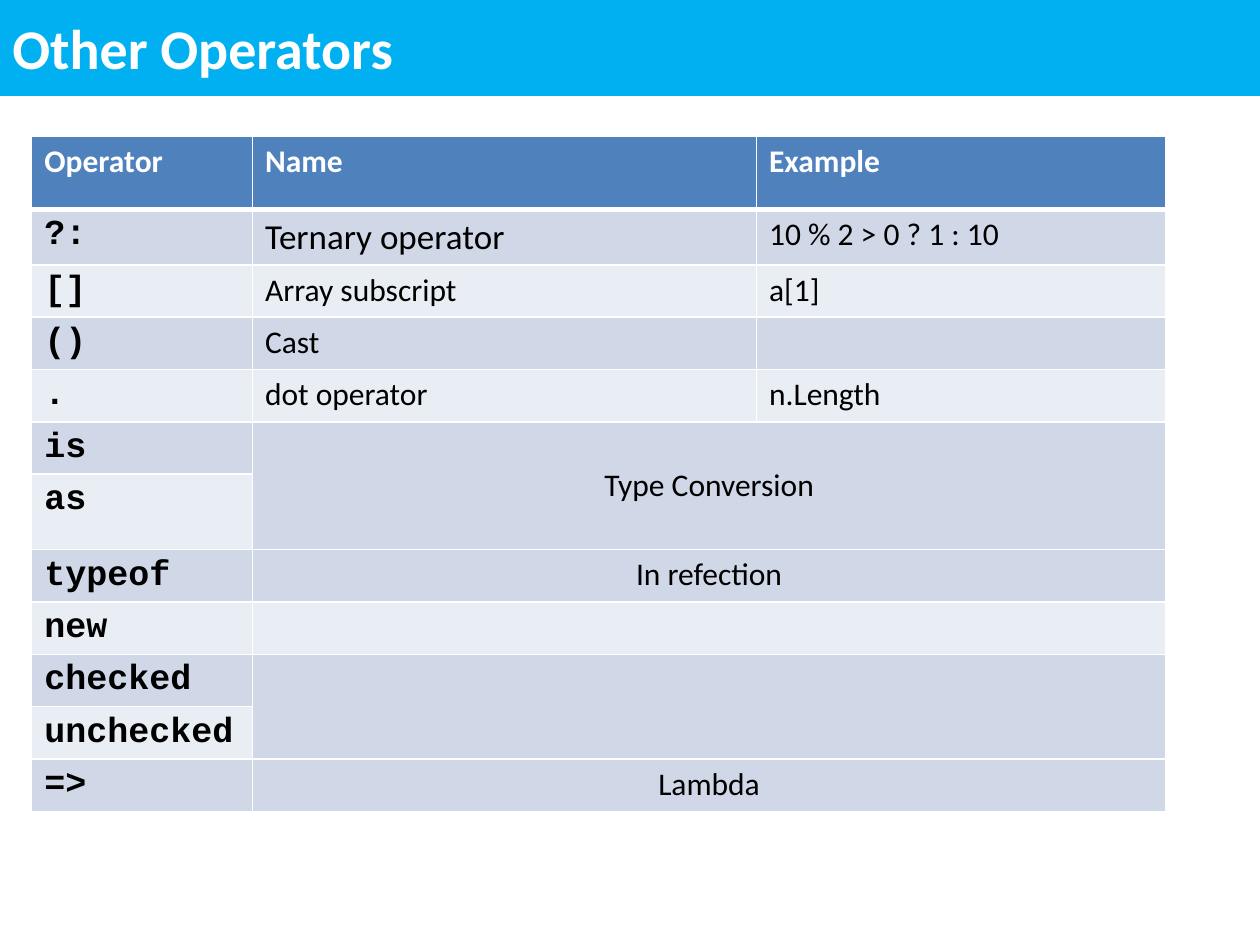
from lxml.etree import SubElement
from pptx import Presentation
from pptx.dml.color import RGBColor
from pptx.enum.shapes import MSO_SHAPE as Shape
from pptx.enum.text import MSO_ANCHOR as Anchor, PP_ALIGN as Align
from pptx.oxml.ns import qn
from pptx.util import Cm, Pt

COLORS = {
    "banner": "00B0F0",
    "header": "4F81BD",
    "odd": "D0D8E8",
    "even": "E9EDF4",
    "white": "FFFFFF",
    "black": "000000",
}


def write(frame, text, size, color, font="Calibri", bold=False):
    frame.text = text
    for span in frame.paragraphs[0].runs:
        span.font.name = font
        span.font.size = Pt(size)
        span.font.bold = bold
        span.font.color.rgb = RGBColor.from_string(COLORS[color])


def set_borders(cell, widths):
    props = cell._tc.get_or_add_tcPr()
    for side, width in widths.items():
        line = SubElement(props, qn(f"a:{side}"), w=str(Pt(width)))
        fill = SubElement(line, qn("a:solidFill"))
        SubElement(fill, qn("a:srgbClr"), val=COLORS["white"])


deck = Presentation()
deck.slide_width = Cm(25.4)
deck.slide_height = Cm(19.05)
page = deck.slides.add_slide(deck.slide_layouts[6])

banner = page.shapes.add_shape(Shape.RECTANGLE, 0, 0, deck.slide_width, Cm(1.9))
banner.shadow.inherit = False
banner.fill.solid()
banner.fill.fore_color.rgb = RGBColor.from_string(COLORS["banner"])
banner.line.color.rgb = RGBColor.from_string(COLORS["banner"])
banner.line.width = Pt(2)
banner.text_frame.word_wrap = True
banner.text_frame.vertical_anchor = Anchor.MIDDLE
write(banner.text_frame, "Other Operators", 32, "white", bold=True)
banner.text_frame.paragraphs[0].alignment = Align.LEFT

rows = [
    ("Operator", "Name", "Example"),
    ("?:", "Ternary operator", "10 % 2 > 0 ? 1 : 10"),
    ("[]", "Array subscript", "a[1]"),
    ("()", "Cast", ""),
    (".", "dot operator", "n.Length"),
    ("is", "Type Conversion", ""),
    ("as", "", ""),
    ("typeof", "In refection", ""),
    ("new", "", ""),
    ("checked", "", ""),
    ("unchecked", "", ""),
    ("=>", "Lambda", ""),
]
col_widths = [4.45, 10.16, 8.25]
row_heights = [1.05] * len(rows)
row_heights[0] = 1.47
row_heights[1] = 1.11
row_heights[6] = 1.52
merged_rows = [(5, 6), (7, 7), (8, 8), (9, 10), (11, 11)]

table = page.shapes.add_table(
    len(rows), len(col_widths), Cm(0.64), Cm(2.75),
    Cm(sum(col_widths)), Cm(sum(row_heights)),
).table
for column, width in zip(table.columns, col_widths):
    column.width = Cm(width)
for row, height in zip(table.rows, row_heights):
    row.height = Cm(height)

for r, texts in enumerate(rows):
    band = "header" if r == 0 else ("odd" if r % 2 else "even")
    for c, text in enumerate(texts):
        cell = table.cell(r, c)
        set_borders(cell, {
            "lnL": 1, "lnR": 1,
            "lnT": 3 if r == 1 else 1,
            "lnB": 3 if r == 0 else 1,
        })
        cell.fill.solid()
        cell.fill.fore_color.rgb = RGBColor.from_string(COLORS[band])
        if r == 0:
            write(cell.text_frame, text, 18, "white", bold=True)
        elif c == 0:
            write(cell.text_frame, text, 20, "black", "Courier New", True)
        else:
            write(cell.text_frame, text, 20 if (r, c) == (1, 1) else 18, "black")

for first, last in merged_rows:
    cell = table.cell(first, 1)
    cell.merge(table.cell(last, 2))
    cell.vertical_anchor = Anchor.MIDDLE if last > first else Anchor.TOP
    cell.text_frame.paragraphs[0].alignment = Align.CENTER

deck.save("out.pptx")
